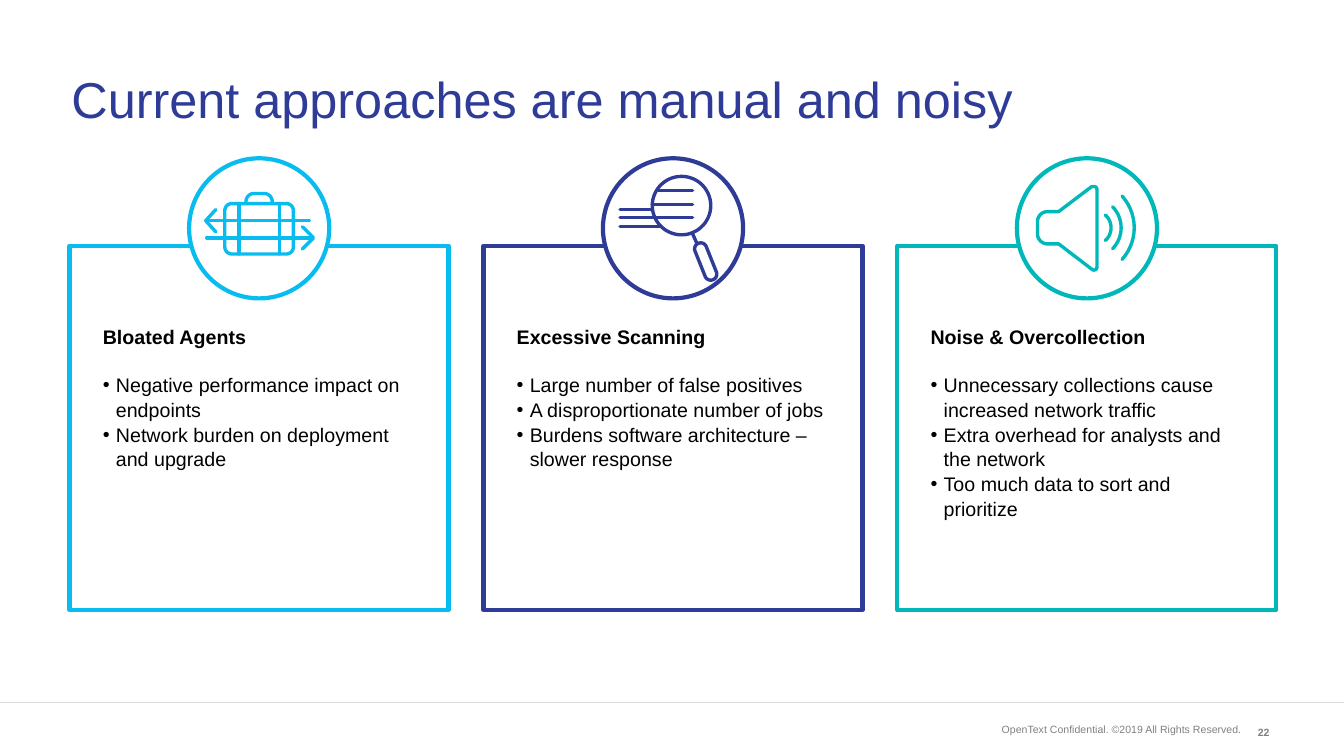
from dataclasses import dataclass
from math import cos, radians, sin

from lxml import etree
from pptx import Presentation
from pptx.dml.color import RGBColor
from pptx.enum.shapes import MSO_CONNECTOR, MSO_SHAPE
from pptx.enum.text import MSO_ANCHOR, PP_ALIGN
from pptx.oxml.ns import qn
from pptx.shapes.autoshape import Shape
from pptx.slide import Slide
from pptx.text.text import TextFrame, _Paragraph
from pptx.util import Inches, Pt

SKY = RGBColor(0x09, 0xBC, 0xEF)
INDIGO = RGBColor(0x2E, 0x3C, 0x98)
TEAL = RGBColor(0x00, 0xB8, 0xBA)
WHITE = RGBColor(0xFF, 0xFF, 0xFF)
BLACK = RGBColor(0x00, 0x00, 0x00)
GRAY = RGBColor(0x80, 0x80, 0x80)
RULE_GRAY = RGBColor(0xD9, 0xD9, 0xD9)
RECTANGLE, OVAL = MSO_SHAPE.RECTANGLE, MSO_SHAPE.OVAL
STRAIGHT = MSO_CONNECTOR.STRAIGHT
TOP, MIDDLE = MSO_ANCHOR.TOP, MSO_ANCHOR.MIDDLE
LEFT, RIGHT = PP_ALIGN.LEFT, PP_ALIGN.RIGHT

FONT = "Arial"
CARD_LEFT, CARD_TOP, CARD_STEP = 0.69, 2.44, 4.105
CARD_WIDTH, CARD_HEIGHT = 3.76, 3.61
BADGE_TOP, BADGE_SIZE = 1.57, 1.39
BULLET_INDENT = 0.13

Stroke = list[tuple[float, float]]


def arc(x: float, y: float, radius: float, start: int, end: int) -> Stroke:
    """Points on an arc, in degrees clockwise from the right."""
    steps = max(8, abs(end - start) // 6)
    angles = [radians(start + (end - start) * i / steps) for i in range(steps + 1)]
    return [(x + radius * cos(a), y + radius * sin(a)) for a in angles]


def closed(points: Stroke) -> Stroke:
    return points + points[:1]


def horizontal(y: float, x1: float, x2: float) -> Stroke:
    return [(x1, y), (x2, y)]


SUITCASE: list[Stroke] = [
    closed(arc(2.3, 2.09, 0.07, 180, 270) + arc(2.84, 2.09, 0.07, 270, 360)
           + arc(2.84, 2.45, 0.07, 0, 90) + arc(2.3, 2.45, 0.07, 90, 180)),
    [(2.44, 2.02)] + arc(2.52, 2.0, 0.08, 180, 270)
    + arc(2.62, 2.0, 0.08, 270, 360) + [(2.7, 2.02)],
    [(2.37, 2.02), (2.37, 2.52)],
    [(2.77, 2.02), (2.77, 2.52)],
    horizontal(2.19, 2.04, 3.07),
    [(2.14, 2.08), (2.04, 2.19), (2.14, 2.3)],
    horizontal(2.36, 2.05, 3.1),
    [(3.0, 2.25), (3.11, 2.36), (3.0, 2.47)],
]
MAGNIFIER: list[Stroke] = [
    closed(arc(6.76, 2.04, 0.29, 0, 360)),
    horizontal(1.89, 6.53, 6.87),
    horizontal(2.03, 6.47, 6.87),
    horizontal(2.08, 6.15, 6.46),
    horizontal(2.16, 6.15, 6.87),
    horizontal(2.25, 6.15, 6.54),
    [(6.87, 2.32), (6.91, 2.41)],
    closed(arc(6.95, 2.47, 0.06, 155, 335) + arc(7.05, 2.72, 0.06, -25, 155)),
]
LOUDSPEAKER: list[Stroke] = [
    closed(arc(10.39, 2.2, 0.1, 180, 270) + [(10.5, 2.1), (10.83, 1.85)]
           + arc(10.85, 1.88, 0.03, 240, 360) + arc(10.85, 2.65, 0.03, 0, 120)
           + [(10.5, 2.42)] + arc(10.39, 2.32, 0.1, 90, 180)),
    arc(10.85, 2.26, 0.17, -48, 48),
    arc(10.82, 2.26, 0.3, -44, 44),
    arc(10.78, 2.26, 0.47, -42, 42),
]


@dataclass(frozen=True)
class Card:
    heading: str
    points: tuple[str, ...]
    color: RGBColor
    icon: list[Stroke]
    filled: bool = False


CARDS = [
    Card("Bloated Agents",
         ("Negative performance impact on endpoints",
          "Network burden on deployment and upgrade"), SKY, SUITCASE),
    Card("Excessive Scanning",
         ("Large number of false positives", "A disproportionate number of jobs",
          "Burdens software architecture – slower response"),
         INDIGO, MAGNIFIER, filled=True),
    Card("Noise & Overcollection",
         ("Unnecessary collections cause increased network traffic",
          "Extra overhead for analysts and the network",
          "Too much data to sort and prioritize"), TEAL, LOUDSPEAKER),
]


def add_run(paragraph: _Paragraph, text: str, size: float, color: RGBColor,
            bold: bool = False) -> None:
    run = paragraph.add_run()
    run.text = text
    run.font.name, run.font.size, run.font.bold = FONT, Pt(size), bold
    run.font.color.rgb = color


def add_label(slide: Slide, box: tuple[float, float, float, float], text: str,
              size: float, color: RGBColor, align: PP_ALIGN = LEFT,
              anchor: MSO_ANCHOR = MIDDLE, bold: bool = False) -> _Paragraph:
    frame = slide.shapes.add_textbox(*map(Inches, box)).text_frame
    frame.word_wrap, frame.vertical_anchor = True, anchor
    paragraph = frame.paragraphs[0]
    paragraph.alignment = align
    add_run(paragraph, text, size, color, bold)
    return paragraph


def style_outline(shape: Shape, color: RGBColor, width: float, filled: bool) -> None:
    shape.shadow.inherit = False
    if filled:
        shape.fill.solid()
        shape.fill.fore_color.rgb = WHITE
    else:
        shape.fill.background()
    shape.line.color.rgb, shape.line.width = color, Pt(width)


def add_bullet(paragraph: _Paragraph) -> None:
    properties = paragraph._p.get_or_add_pPr()
    properties.set("marL", str(Inches(BULLET_INDENT)))
    properties.set("indent", str(-Inches(BULLET_INDENT)))
    etree.SubElement(properties, qn("a:buFont")).set("typeface", FONT)
    etree.SubElement(properties, qn("a:buChar")).set("char", "•")


def write_card(frame: TextFrame, card: Card) -> None:
    frame.word_wrap, frame.vertical_anchor = True, TOP
    frame.margin_left = frame.margin_right = Inches(0.33)
    frame.margin_top, frame.margin_bottom = Inches(0.77), Inches(0.05)
    for index, text in enumerate((card.heading, *card.points)):
        paragraph = frame.paragraphs[0] if index == 0 else frame.add_paragraph()
        paragraph.alignment, paragraph.line_spacing = LEFT, 1.05
        if index == 1:
            paragraph.space_before = Pt(17)
        if index > 0:
            add_bullet(paragraph)
        add_run(paragraph, text, 14, BLACK, bold=index == 0)


def draw_icon(slide: Slide, strokes: list[Stroke], color: RGBColor) -> None:
    """Draw all strokes as the contours of one freeform."""
    contours = [[(Inches(x), Inches(y)) for x, y in stroke] for stroke in strokes]
    builder = slide.shapes.build_freeform(*contours[0][0])
    for contour in contours:
        builder.move_to(*contour[0])
        builder.add_line_segments(contour[1:], close=False)
    icon = builder.convert_to_shape()
    style_outline(icon, color, 2.4, filled=False)
    outline = icon.line._get_or_add_ln()
    outline.set("cap", "rnd")
    etree.SubElement(outline, qn("a:round"))


def draw_card(slide: Slide, card: Card, left: float) -> None:
    panel = slide.shapes.add_shape(RECTANGLE, Inches(left), Inches(CARD_TOP),
                                   Inches(CARD_WIDTH), Inches(CARD_HEIGHT))
    style_outline(panel, card.color, 3, card.filled)
    write_card(panel.text_frame, card)
    badge_left = left + (CARD_WIDTH - BADGE_SIZE) / 2
    badge = slide.shapes.add_shape(OVAL, Inches(badge_left), Inches(BADGE_TOP),
                                   Inches(BADGE_SIZE), Inches(BADGE_SIZE))
    style_outline(badge, card.color, 3, filled=True)
    draw_icon(slide, card.icon, card.color)


def draw_footer(slide: Slide) -> None:
    add_label(slide, (9.73, 7.12, 2.68, 0.23),
              "OpenText Confidential. ©2019 All Rights Reserved.", 7.5, GRAY, RIGHT)
    add_label(slide, (12.34, 7.15, 0.35, 0.23), "22", 7.5, GRAY, RIGHT, TOP, bold=True)
    rule = slide.shapes.add_connector(STRAIGHT, 0, Inches(6.97), Inches(13.33), Inches(6.97))
    rule.line.color.rgb, rule.line.width = RULE_GRAY, Pt(1)
    etree.SubElement(rule._element.spPr, qn("a:effectLst"))


def main() -> None:
    deck = Presentation()
    deck.slide_width, deck.slide_height = Inches(13.33), Inches(7.5)
    slide = deck.slides.add_slide(deck.slide_layouts[6])
    draw_footer(slide)
    title = add_label(slide, (0.61, 0.19, 12.04, 1.06),
                      "Current approaches are manual and noisy", 36, INDIGO)
    title.line_spacing = Pt(80)
    for column, card in enumerate(CARDS):
        draw_card(slide, card, CARD_LEFT + column * CARD_STEP)
    deck.save("out.pptx")


if __name__ == "__main__":
    main()
